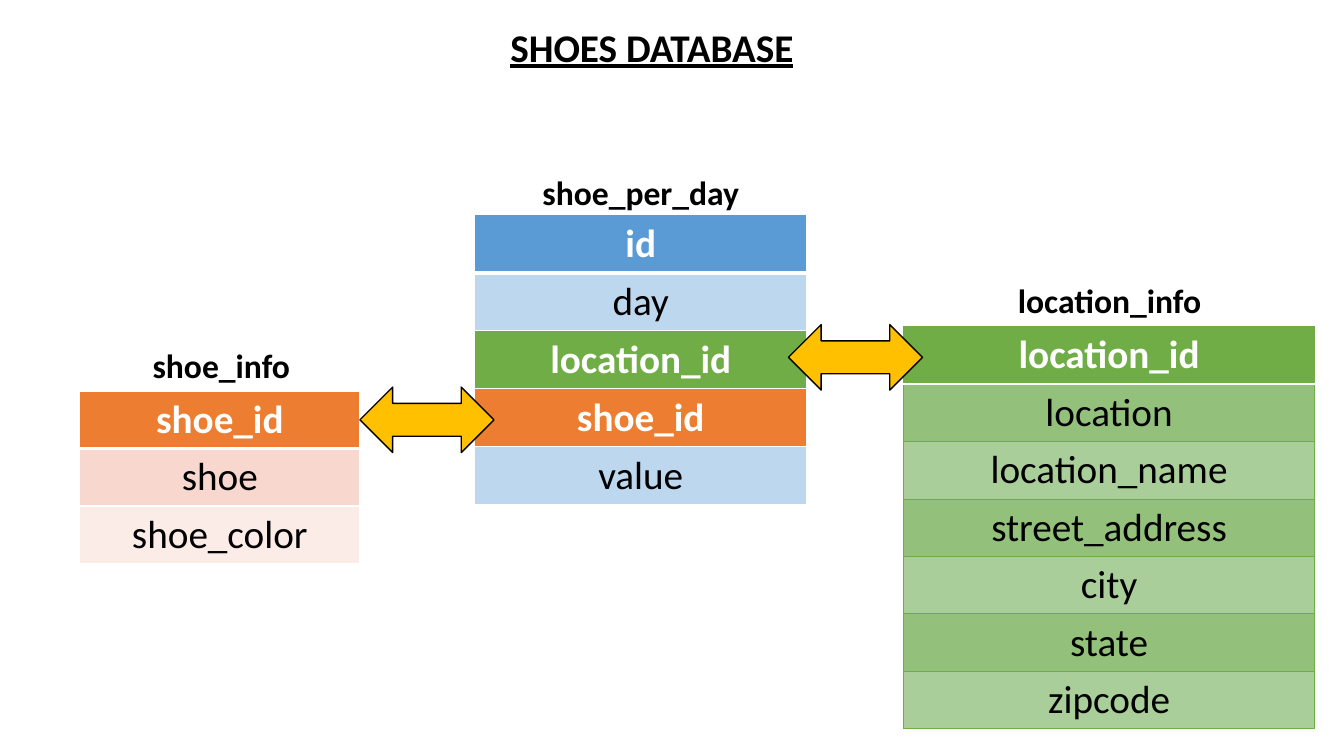
from lxml import etree
from pptx import Presentation
from pptx import util as u
from pptx.dml.color import RGBColor
from pptx.enum import shapes, text
from pptx.oxml.ns import qn

BLUE, ORANGE, GREEN, GOLD = "5B9BD5", "ED7D31", "70AD47", "FFC000"
PALE_BLUE, WHITE, BLACK = "BDD7EE", "FFFFFF", "000000"
GREEN_BANDS = ("93C17C", "A9CE99")
KEY_FILLS = (BLUE, ORANGE, GREEN)
FONT = "Calibri"
ROW_HEIGHT = 0.57
CAPTION_SIZE = (3.45, 0.5)
ARROW_SIZE = (1.33, 0.65)

TITLE = ("SHOES DATABASE", (4.45, 0.18, 4.03, 0.57))

# Border values are (colour, points); "header" is the line below the first row.
TABLES = [
    {"name": "shoe_per_day", "caption_at": (4.63, 1.66), "at": (4.71, 2.13),
     "width": 3.29, "border": (WHITE, 1), "header": (WHITE, 3),
     "rows": [("id", BLUE), ("day", PALE_BLUE), ("location_id", GREEN),
              ("shoe_id", ORANGE), ("value", PALE_BLUE)]},
    {"name": "location_info", "caption_at": (9.28, 2.73), "at": (8.96, 3.24),
     "width": 4.08, "border": (GREEN, 0.5), "header": (WHITE, 1),
     "rows": [("location_id", GREEN)] + [
         (field, GREEN_BANDS[index % 2]) for index, field in enumerate(
             ["location", "location_name", "street_address",
              "city", "state", "zipcode"])]},
    {"name": "shoe_info", "caption_at": (0.47, 3.37), "at": (0.79, 3.88),
     "width": 2.78, "border": (WHITE, 1), "header": (WHITE, 3),
     "rows": [("shoe_id", ORANGE), ("shoe", "F8D7CE"),
              ("shoe_color", "FCECE8")]},
]
ARROWS = [(7.82, 3.22), (3.57, 3.84)]


def color(hex_value):
    """Return the RGB colour of a hex string."""
    return RGBColor.from_string(hex_value)


def inches(values):
    """Turn plain numbers into lengths."""
    return [u.Inches(value) for value in values]


def write(frame, words, hex_value=BLACK, **font_format):
    """Put one centred paragraph into a text frame."""
    paragraph = frame.paragraphs[0]
    paragraph.alignment = text.PP_ALIGN.CENTER
    run = paragraph.add_run()
    run.text = words
    for name, value in {"name": FONT, **font_format}.items():
        setattr(run.font, name, value)
    run.font.color.rgb = color(hex_value)


def add_border(cell, side, hex_value, points):
    """Draw one side of a cell; call in the order L, R, T, B, before the fill."""
    properties = cell._tc.get_or_add_tcPr()
    line = etree.SubElement(properties, qn("a:ln" + side), w=str(u.Pt(points)))
    fill = etree.SubElement(line, qn("a:solidFill"))
    etree.SubElement(fill, qn("a:srgbClr"), val=hex_value)


def add_field_table(slide, entity):
    """Add a one-column table that lists the fields of an entity."""
    rows = entity["rows"]
    box = inches((*entity["at"], entity["width"], ROW_HEIGHT * len(rows)))
    table = slide.shapes.add_table(len(rows), 1, *box).table
    table.first_row = table.horz_banding = False
    for index, (field, fill) in enumerate(rows):
        table.rows[index].height = u.Inches(ROW_HEIGHT)
        cell = table.cell(index, 0)
        borders = dict.fromkeys("LRTB", entity["border"])
        if index < 2:
            borders["B" if index == 0 else "T"] = entity["header"]
        for side, border in borders.items():
            add_border(cell, side, *border)
        cell.fill.solid()
        cell.fill.fore_color.rgb = color(fill)
        is_key = fill in KEY_FILLS
        write(cell.text_frame, field, WHITE if is_key else BLACK,
              size=u.Pt(28), bold=is_key)


def add_link_arrow(slide, position):
    """Add a double arrow between two linked tables."""
    arrow = slide.shapes.add_shape(shapes.MSO_SHAPE.LEFT_RIGHT_ARROW,
                                   *inches(position + ARROW_SIZE))
    arrow.shadow.inherit = False
    arrow.fill.solid()
    arrow.fill.fore_color.rgb = color(GOLD)
    arrow.line.color.rgb = color(BLACK)
    arrow.line.width = u.Pt(1)


def add_caption(slide, entity):
    """Add the name of an entity above its table."""
    box = inches(entity["caption_at"] + CAPTION_SIZE)
    frame = slide.shapes.add_textbox(*box).text_frame
    frame.word_wrap = True
    write(frame, entity["name"], size=u.Pt(24), bold=True)


def place_title(slide, words, box):
    """Move and format the title placeholder."""
    title = slide.shapes.title
    for name, value in zip(("left", "top", "width", "height"), inches(box)):
        setattr(title, name, value)
    frame_format = {"auto_size": text.MSO_AUTO_SIZE.NONE, "word_wrap": True,
                    "vertical_anchor": text.MSO_ANCHOR.TOP}
    for name, value in frame_format.items():
        setattr(title.text_frame, name, value)
    write(title.text_frame, words, size=u.Pt(28), bold=True, underline=True)


presentation = Presentation()
presentation.slide_width, presentation.slide_height = inches((13.33, 7.5))
slide = presentation.slides.add_slide(presentation.slide_layouts[5])
place_title(slide, *TITLE)
for entity in TABLES:
    add_field_table(slide, entity)
    add_caption(slide, entity)
for position in ARROWS:
    add_link_arrow(slide, position)
presentation.save("out.pptx")
